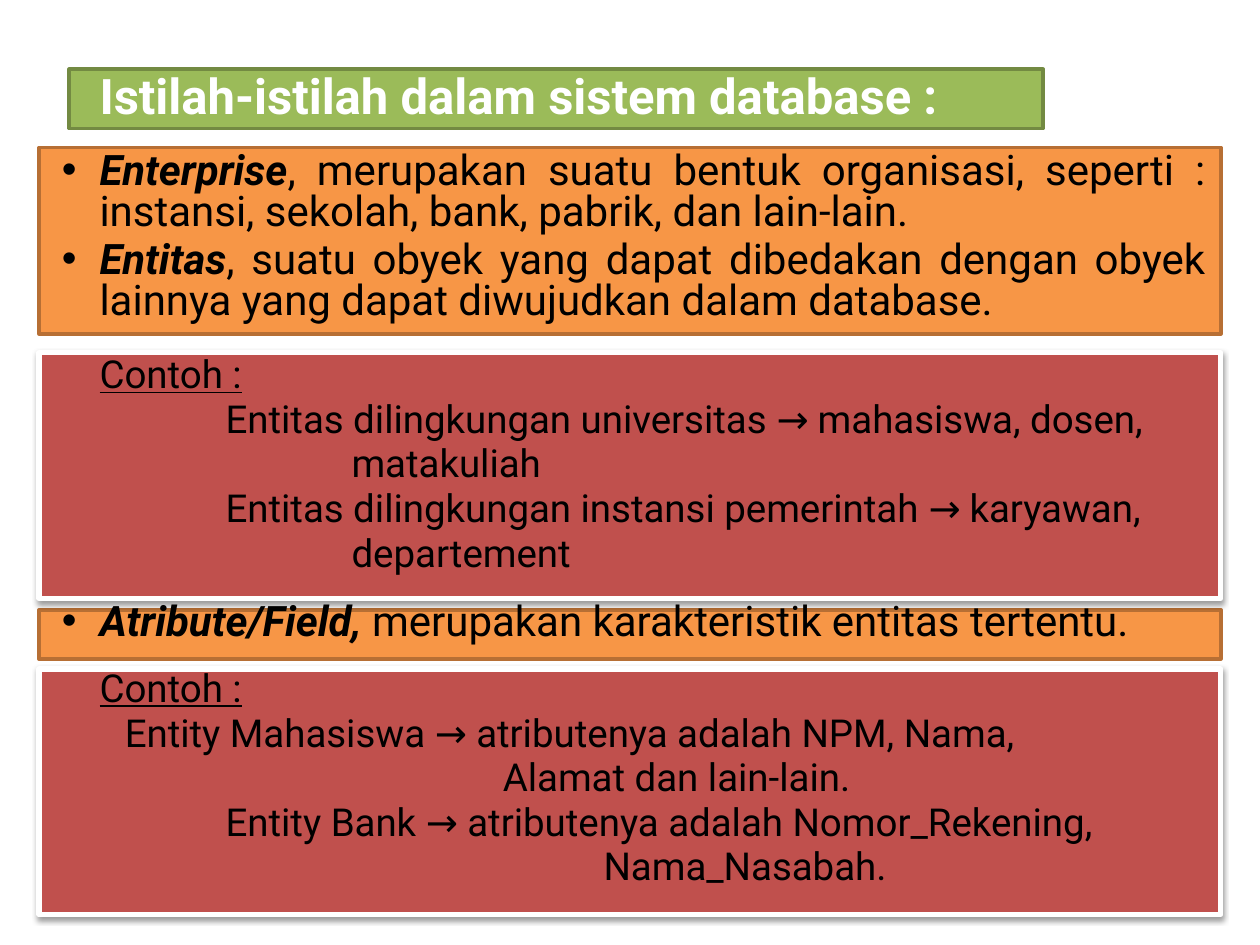
from lxml.etree import SubElement
from pptx import Presentation
from pptx.dml.color import RGBColor
from pptx.enum.shapes import MSO_SHAPE
from pptx.enum.text import PP_ALIGN
from pptx.oxml.ns import qn
from pptx.util import Inches, Pt


def color(hex_value):
    return RGBColor.from_string(hex_value)


def add_run(paragraph, text, size=22, fill="000000", bold=False, italic=False, underline=False):
    run = paragraph.add_run()
    run.text = text
    font = run.font
    font.name = "Roboto"
    font.size = Pt(size)
    font.color.rgb = color(fill)
    font.bold, font.italic, font.underline = bold, italic, underline


class SlideBuilder:
    text_left, text_width = 0.49, 9.08
    hanging = 0.3

    def __init__(self, slide):
        self.slide = slide

    def panel(self, left, top, width, height, fill, line, line_width=2, shadow=False):
        shape = self.slide.shapes.add_shape(
            MSO_SHAPE.RECTANGLE, Inches(left), Inches(top), Inches(width), Inches(height))
        shape.fill.solid()
        shape.fill.fore_color.rgb = color(fill)
        shape.line.color.rgb = color(line)
        shape.line.width = Pt(line_width)
        shape.shadow.inherit = False
        if shadow:
            effects = shape._element.spPr.find(qn("a:effectLst"))
            outer = SubElement(effects, qn("a:outerShdw"), blurRad=str(Pt(3.1)),
                               dist=str(Pt(1.6)), dir="5400000", rotWithShape="0")
            black = SubElement(outer, qn("a:srgbClr"), val="000000")
            SubElement(black, qn("a:alpha"), val="38000")

    def text_frame(self, top, height):
        box = self.slide.shapes.add_textbox(
            Inches(self.text_left), Inches(top), Inches(self.text_width), Inches(height))
        frame = box.text_frame
        frame.word_wrap = True
        frame.margin_left = frame.margin_right = frame.margin_top = frame.margin_bottom = 0
        return frame

    def paragraph(self, frame, index, indent, size, bullet=False):
        paragraph = frame.paragraphs[0] if index == 0 else frame.add_paragraph()
        properties = paragraph._p.get_or_add_pPr()
        properties.set("marL", str(Inches(indent)))
        properties.set("indent", str(Inches(-self.hanging if bullet else 0)))
        if bullet:
            SubElement(properties, qn("a:buFont"), typeface="Arial")
            SubElement(properties, qn("a:buChar"), char="•")
        paragraph.line_spacing = 0.8
        if index:
            paragraph.space_before = Pt(size * 0.2)
        return paragraph

    def title(self, top, text):
        frame = self.text_frame(top, 0.4)
        add_run(self.paragraph(frame, 0, self.hanging, 28), text, size=28, fill="FFFFFF", bold=True)

    def definitions(self, top, height, items, align):
        frame = self.text_frame(top, height)
        for index, (term, meaning) in enumerate(items):
            paragraph = self.paragraph(frame, index, self.hanging, 24, bullet=True)
            paragraph.alignment = align
            add_run(paragraph, term, size=24, bold=True, italic=True)
            add_run(paragraph, meaning, size=24)

    def example(self, top, lines):
        frame = self.text_frame(top, 1.8)
        add_run(self.paragraph(frame, 0, self.hanging, 22), "Contoh :", underline=True)
        for index, (indent, text) in enumerate(lines, start=1):
            add_run(self.paragraph(frame, index, indent, 22), text)


def main():
    presentation = Presentation()
    presentation.slide_width, presentation.slide_height = Inches(10), Inches(7.5)
    builder = SlideBuilder(presentation.slides.add_slide(presentation.slide_layouts[6]))

    # Panels, from bottom to top
    for example_top, term_top, term_height in ((5.31, 4.84, 0.39), (2.8, 1.17, 1.48)):
        builder.panel(0.31, example_top, 9.38, 1.95, "C0504D", "FFFFFF", 3, shadow=True)
        builder.panel(0.31, term_top, 9.38, term_height, "F79646", "B76F34")
    builder.panel(0.55, 0.55, 7.73, 0.47, "9BBB59", "738A42")

    # Title
    builder.title(0.61, "Istilah-istilah dalam sistem database :")

    # Enterprise and entity
    builder.definitions(1.22, 1.4, [
        ("Enterprise", ", merupakan suatu bentuk organisasi, seperti : "
                       "instansi, sekolah, bank, pabrik, dan lain-lain."),
        ("Entitas", ", suatu obyek yang dapat dibedakan dengan obyek "
                    "lainnya yang dapat diwujudkan dalam database."),
    ], PP_ALIGN.JUSTIFY)
    builder.example(2.85, [
        (1.3, "Entitas dilingkungan universitas → mahasiswa, dosen,"),
        (2.3, "matakuliah"),
        (1.3, "Entitas dilingkungan instansi pemerintah → karyawan,"),
        (2.3, "departement"),
    ])

    # Attribute
    builder.definitions(4.8, 0.4, [
        ("Atribute/Field, ", "merupakan karakteristik entitas tertentu."),
    ], PP_ALIGN.LEFT)
    builder.example(5.34, [
        (0.5, "Entity Mahasiswa → atributenya adalah NPM, Nama,"),
        (3.5, "Alamat dan lain-lain."),
        (1.3, "Entity Bank → atributenya adalah Nomor_Rekening,"),
        (4.3, "Nama_Nasabah."),
    ])

    presentation.save("out.pptx")


if __name__ == "__main__":
    main()
